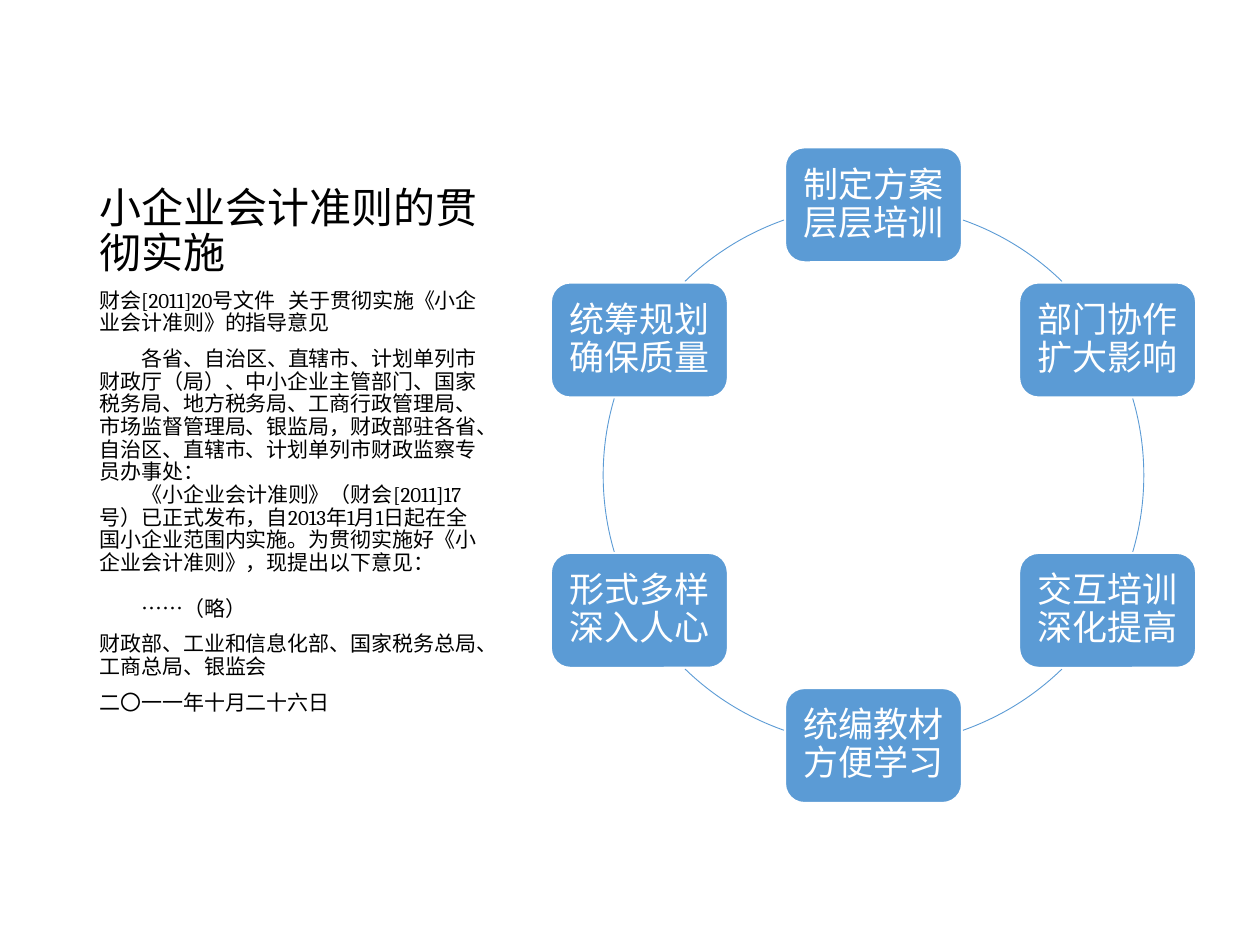
import math
from dataclasses import dataclass

import pptx
import pptx.dml.color
import pptx.enum.shapes
import pptx.enum.text
import pptx.oxml.ns
import pptx.util

Cm, Pt = pptx.util.Cm, pptx.util.Pt
RGB = pptx.dml.color.RGBColor
Shape = pptx.enum.shapes.MSO_SHAPE
Align = pptx.enum.text.PP_ALIGN
Anchor = pptx.enum.text.MSO_ANCHOR


@dataclass(frozen=True)
class Theme:
    ink: RGB = RGB(0, 0, 0)
    white: RGB = RGB(0xFF, 0xFF, 0xFF)
    blue: RGB = RGB(0x5B, 0x9B, 0xD5)
    head: str = "Calibri"
    body: str = "Cambria"
    node: str = "Noto Sans CJK SC"
    head_size: float = 24
    body_size: float = 12
    node_size: float = 20
    lead: float = 0.9


@dataclass(frozen=True)
class Para:
    text: str
    before: float = 7.5
    indent: float = 0


@dataclass(frozen=True)
class Ring:
    x: float
    y: float
    radius: float
    wide: float
    high: float


@dataclass(frozen=True)
class Arc:
    start: float
    end: float


THEME = Theme()
TITLE = "小企业会计准则的贯彻实施"
BODY = [
    Para("财会[2011]20号文件\t关于贯彻实施《小企业会计准则》的指导意见"),
    Para("各省、自治区、直辖市、计划单列市财政厅（局）、中小企业主管部门、"
         "国家税务局、地方税务局、工商行政管理局、市场监督管理局、银监局，"
         "财政部驻各省、自治区、直辖市、计划单列市财政监察专员办事处：", indent=24),
    Para("《小企业会计准则》（财会[2011]17号）已正式发布，自2013年1月1日起在"
         "全国小企业范围内实施。为贯彻实施好《小企业会计准则》，现提出以下意见：",
         before=0, indent=24),
    Para("……（略）", before=13, indent=24),
    Para("财政部、工业和信息化部、国家税务总局、工商总局、银监会"),
    Para("二〇一一年十月二十六日"),
]
# Clockwise from the top
STEPS = ["制定方案层层培训", "部门协作扩大影响", "交互培训深化提高",
         "统编教材方便学习", "形式多样深入人心", "统筹规划确保质量"]
RING = Ring(17.61, 9.58, 5.45, 3.56, 2.31)
# Visible gaps between boxes, in degrees clockwise from the right
ARCS = [Arc(289.3, 314.2), Arc(343.5, 16.5), Arc(45.8, 70.7),
        Arc(109.3, 134.2), Arc(163.5, 196.5), Arc(225.8, 250.7)]


def style(para, name: str, size: float, color: RGB) -> None:
    para.line_spacing = THEME.lead
    para.font.name = name
    para.font.size = Pt(size)
    para.font.color.rgb = color


def add_text(slide, top: float, high: float, paras: list[Para],
             name: str, size: float, anchor) -> None:
    box = slide.shapes.add_textbox(Cm(1.75), Cm(top), Cm(8.2), Cm(high))
    frame = box.text_frame
    frame.word_wrap = True
    frame.vertical_anchor = anchor
    for i, item in enumerate(paras):
        para = frame.paragraphs[0] if i == 0 else frame.add_paragraph()
        para.text = item.text
        para.space_before = Pt(item.before)
        style(para, name, size, THEME.ink)
        if item.indent:
            props = para._p.get_or_add_pPr()
            props.set("marL", "0")
            props.set("indent", str(Pt(item.indent)))


def add_arc(slide, ring: Ring, arc: Arc) -> None:
    side = Cm(2 * ring.radius)
    shape = slide.shapes.add_shape(
        Shape.ARC, Cm(ring.x - ring.radius), Cm(ring.y - ring.radius), side, side)
    shape.shadow.inherit = False
    # Angles are stored in 60000ths of a degree, adjustments in 100000ths
    shape.adjustments[0] = arc.start * 0.6
    shape.adjustments[1] = arc.end * 0.6
    shape.fill.background()
    shape.line.color.rgb = THEME.blue
    shape.line.width = Pt(0.5)


def add_step(slide, ring: Ring, turn: float, text: str) -> None:
    x = ring.x + ring.radius * math.sin(turn) - ring.wide / 2
    y = ring.y - ring.radius * math.cos(turn) - ring.high / 2
    shape = slide.shapes.add_shape(
        Shape.ROUNDED_RECTANGLE, Cm(x), Cm(y), Cm(ring.wide), Cm(ring.high))
    shape.shadow.inherit = False
    shape.fill.solid()
    shape.fill.fore_color.rgb = THEME.blue
    shape.line.color.rgb = THEME.white
    shape.line.width = Pt(1)
    frame = shape.text_frame
    frame.word_wrap = True
    frame.vertical_anchor = Anchor.MIDDLE
    frame.margin_left = frame.margin_right = Cm(0.2)
    frame.margin_top = frame.margin_bottom = Cm(0.2)
    frame.text = text
    para = frame.paragraphs[0]
    para.alignment = Align.CENTER
    style(para, THEME.node, THEME.node_size, THEME.white)


def main() -> None:
    deck = pptx.Presentation()
    deck.slide_width, deck.slide_height = Cm(25.4), Cm(19.05)
    slide = deck.slides.add_slide(deck.slide_layouts[6])

    # Title and document text
    add_text(slide, 1.27, 4.45, [Para(TITLE, before=0)],
             THEME.head, THEME.head_size, Anchor.BOTTOM)
    add_text(slide, 5.72, 10.59, BODY, THEME.body, THEME.body_size, Anchor.TOP)

    # Cycle of steps
    for arc in ARCS:
        add_arc(slide, RING, arc)
    for i, text in enumerate(STEPS):
        add_step(slide, RING, i * math.tau / len(STEPS), text)

    deck.save("out.pptx")


if __name__ == "__main__":
    main()
